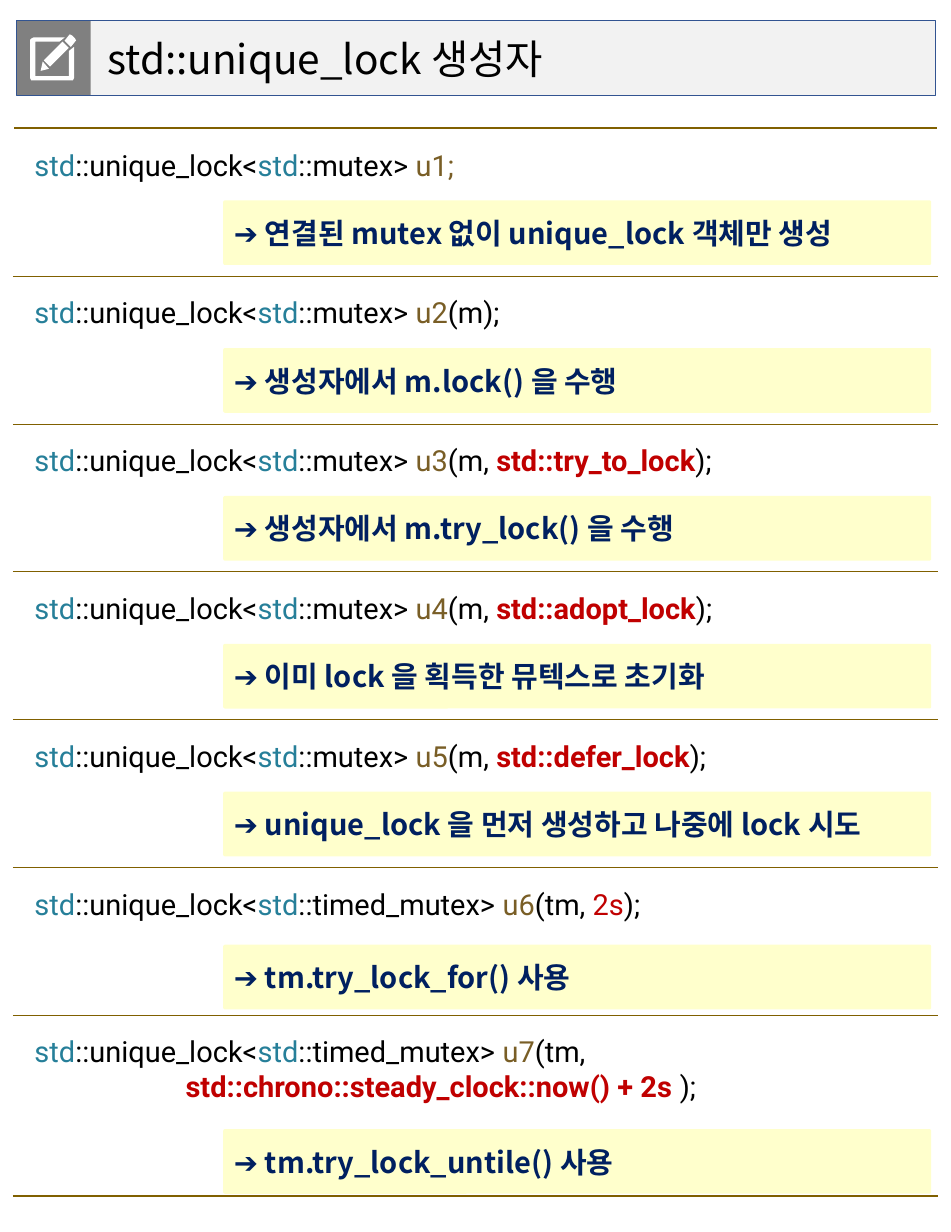
from pptx import Presentation
from pptx.dml.color import RGBColor
from pptx.enum.shapes import MSO_SHAPE
from pptx.enum.text import MSO_ANCHOR, MSO_AUTO_SIZE, PP_ALIGN
from pptx.oxml.ns import qn
from pptx.util import Inches, Pt
from lxml.etree import SubElement

WIDE, HIGH = 9.12, 11.81
BLACK = RGBColor(0, 0, 0)
WHITE = RGBColor(255, 255, 255)
PALE = RGBColor(0xF2, 0xF2, 0xF2)
GREY = RGBColor(0x80, 0x80, 0x80)
BLUE = RGBColor(0x32, 0x54, 0x91)
TEAL = RGBColor(0x26, 0x7F, 0x99)
BROWN = RGBColor(0x79, 0x5E, 0x26)
RED = RGBColor(0xC0, 0, 0)
NAVY = RGBColor(0, 0x20, 0x60)
CREAM = RGBColor(0xFF, 0xFF, 0xCC)
GOLD = RGBColor(0x80, 0x60, 0)
SANS, CODE = "Noto Sans CJK KR", "Roboto"

ROW = HIGH * 0.12
LAST = 1.73
DROP = 0.69
NOTE_H = 0.62

ITEMS = [
    ("mutex", [("u1;", BROWN, False)], "연결된 mutex 없이 unique_lock 객체만 생성"),
    ("mutex", [("u2", BROWN, False), ("(m);", BLACK, False)], "생성자에서 m.lock() 을 수행"),
    ("mutex", [("u3", BROWN, False), ("(m, ", BLACK, False), ("std::try_to_lock", RED, True),
               (");", BLACK, False)], "생성자에서 m.try_lock() 을 수행"),
    ("mutex", [("u4", BROWN, False), ("(m, ", BLACK, False), ("std::adopt_lock", RED, True),
               (");", BLACK, False)], "이미 lock 을 획득한 뮤텍스로 초기화"),
    ("mutex", [("u5", BROWN, False), ("(m, ", BLACK, False), ("std::defer_lock", RED, True),
               (");", BLACK, False)], "unique_lock 을 먼저 생성하고 나중에 lock 시도"),
    ("timed_mutex", [("u6", BROWN, False), ("(tm, ", BLACK, False), ("2s", RED, False),
                     (");", BLACK, False)], "tm.try_lock_for() 사용"),
    ("timed_mutex", [("u7", BROWN, False), ("(tm,", BLACK, False)], "tm.try_lock_untile() 사용"),
]
TAIL = [("std::chrono::steady_clock::now() + 2s ", RED, True), (");", BLACK, False)]
SHIFTS = {5: 0.05, 6: 0.4}

PEN = [
    [(43, 7), (39, 12), (33, 6), (37, 1), (38.5, 0.5), (40, 1), (43, 4), (43.5, 5.5)],
    [(12, 26), (18, 33), (10, 35)],
    [(37, 13), (19, 31), (13, 25), (31, 7)],
    [(5, 7), (5, 40), (37, 40), (37, 16), (42, 12), (42, 42), (41, 43.5), (40, 44),
     (3, 44), (1, 43.5), (0, 42), (0, 5), (1, 3.5), (3, 3), (33, 3), (28, 7)],
]


def write(para, text, font=SANS, size=20, color=BLACK, bold=False):
    run = para.add_run()
    run.text = text
    run.font.name = font
    run.font.size = Pt(size)
    run.font.bold = bold
    run.font.color.rgb = color
    east = SubElement(run.font._element, qn("a:ea"))
    east.set("typeface", font)


def block(slide, kind, box, fill=None, line=None):
    shape = slide.shapes.add_shape(kind, *map(Inches, box))
    shape.shadow.inherit = False
    if kind == MSO_SHAPE.ROUNDED_RECTANGLE:
        shape.adjustments[0] = 0.028
    if fill is None:
        shape.fill.background()
    else:
        shape.fill.solid()
        shape.fill.fore_color.rgb = fill
    if line is None:
        shape.line.fill.background()
    else:
        shape.line.color.rgb = line
        shape.line.width = Pt(0.5)
    return shape


def icon(slide, left, top):
    first, *rest = PEN
    pen = slide.shapes.build_freeform(*first[0], scale=9144)
    pen.add_line_segments(first[1:], close=True)
    for path in rest:
        pen.move_to(*path[0])
        pen.add_line_segments(path[1:], close=True)
    shape = pen.convert_to_shape(Inches(left), Inches(top))
    shape.shadow.inherit = False
    shape.fill.solid()
    shape.fill.fore_color.rgb = WHITE
    shape.line.fill.background()


def header(slide, box):
    left, top, width, height = box
    title = slide.shapes.title
    title.left, title.top, title.width, title.height = map(Inches, box)
    title.fill.solid()
    title.fill.fore_color.rgb = PALE
    frame = title.text_frame
    frame.auto_size = MSO_AUTO_SIZE.NONE
    frame.vertical_anchor = MSO_ANCHOR.MIDDLE
    frame.margin_left = Inches(0.87)
    para = frame.paragraphs[0]
    para.alignment = PP_ALIGN.LEFT
    write(para, "std::unique_lock 생성자", size=28)
    block(slide, MSO_SHAPE.RECTANGLE, (left, top, height, height), fill=GREY)
    block(slide, MSO_SHAPE.RECTANGLE, box, line=BLUE)
    icon(slide, left + 0.13, top + 0.13)


def edge(cell, side, color, width):
    line = SubElement(cell._tc.get_or_add_tcPr(), qn("a:" + side), w=str(Pt(width)))
    fill = SubElement(line, qn("a:solidFill"))
    SubElement(fill, qn("a:srgbClr"), val=str(color))


def code(cell, kind, parts):
    cell.margin_left = cell.margin_top = Inches(0.2)
    cell.margin_right, cell.margin_bottom = Inches(0.1), Inches(0.24)
    cell.vertical_anchor = MSO_ANCHOR.TOP
    start = [("std", TEAL, False), ("::unique_lock<", BLACK, False),
             ("std", TEAL, False), (f"::{kind}> ", BLACK, False)]
    for text, color, bold in start + parts:
        write(cell.text_frame.paragraphs[0], text, font=CODE, color=color, bold=bold)


def grid(slide, box):
    table = slide.shapes.add_table(len(ITEMS), 1, *map(Inches, box)).table
    table.first_row = table.horz_banding = False
    end = len(ITEMS) - 1
    for i, (kind, parts, _) in enumerate(ITEMS):
        table.rows[i].height = Inches(LAST if i == end else ROW)
        cell = table.cell(i, 0)
        code(cell, kind, parts)
        edge(cell, "lnL", WHITE, 1)
        edge(cell, "lnR", WHITE, 1)
        edge(cell, "lnT", GOLD, 0.5 if i else 1.5)
        edge(cell, "lnB", GOLD, 1.5 if i == end else 0.5)
        cell.fill.background()
    para = table.cell(end, 0).text_frame.add_paragraph()
    para._p.get_or_add_pPr().set("marL", str(Inches(1.45)))
    for text, color, bold in TAIL:
        write(para, text, font=CODE, color=color, bold=bold)


def notes(slide, box):
    left, top, width, _ = box
    for i, (_, _, text) in enumerate(ITEMS):
        y = top + i * ROW + DROP + SHIFTS.get(i, 0)
        shape = block(slide, MSO_SHAPE.ROUNDED_RECTANGLE,
                      (left + 2.01, y, width - 2.07, NOTE_H), fill=CREAM)
        frame = shape.text_frame
        frame.vertical_anchor = MSO_ANCHOR.MIDDLE
        frame.margin_left = Inches(0.1)
        para = frame.paragraphs[0]
        para.alignment = PP_ALIGN.LEFT
        write(para, "➔ " + text, color=NAVY, bold=True)


def main():
    deck = Presentation()
    deck.slide_width, deck.slide_height = Inches(WIDE), Inches(HIGH)
    slide = deck.slides.add_slide(deck.slide_layouts[5])
    header(slide, (0.16, 0.2, 8.81, 0.71))
    box = (0.13, 1.23, 8.86, 6 * ROW + LAST)
    grid(slide, box)
    notes(slide, box)
    deck.save("out.pptx")


if __name__ == "__main__":
    main()
